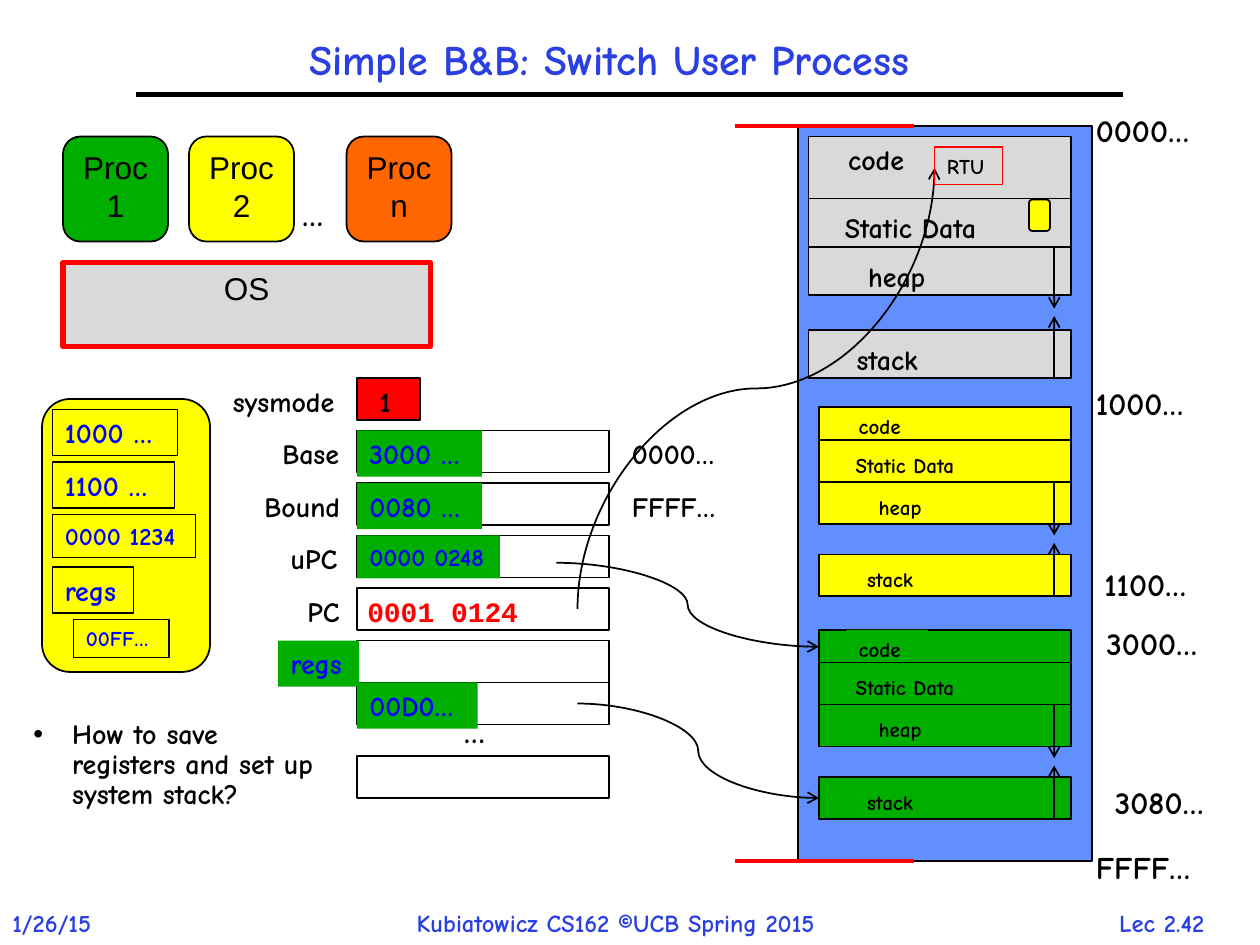
from pptx import Presentation
from pptx.dml.color import RGBColor
from pptx.enum.shapes import MSO_CONNECTOR, MSO_SHAPE
from pptx.enum.text import MSO_ANCHOR, MSO_AUTO_SIZE, PP_ALIGN
from pptx.oxml.ns import qn
from pptx.util import Pt
from lxml import etree

PX = 7620  # EMU per px, 120 px to the inch
RECT, ROUND = MSO_SHAPE.RECTANGLE, MSO_SHAPE.ROUNDED_RECTANGLE
STRAIGHT, CURVE = MSO_CONNECTOR.STRAIGHT, MSO_CONNECTOR.CURVE
TOP, MIDDLE = MSO_ANCHOR.TOP, MSO_ANCHOR.MIDDLE
LEFT, CENTER = PP_ALIGN.LEFT, PP_ALIGN.CENTER
GROW, FIXED = MSO_AUTO_SIZE.SHAPE_TO_FIT_TEXT, MSO_AUTO_SIZE.NONE
COLORS = {
    "black": "000000", "title": "2A40E2", "value": "0000FF", "red": "FF0000",
    "green": "00AE00", "yellow": "FFFF00", "orange": "FF6600",
    "gray": "D9D9D9", "memory": "618FFD",
}


def rgb(name):
    return RGBColor.from_string(COLORS[name])


def add_box(slide, box, fill=None, line="black", weight=1, kind=RECT):
    shape = slide.shapes.add_shape(kind, *(v * PX for v in box))
    shape.shadow.inherit = False
    if fill:
        shape.fill.solid()
        shape.fill.fore_color.rgb = rgb(fill)
    else:
        shape.fill.background()
    if line:
        shape.line.color.rgb = rgb(line)
        shape.line.width = Pt(weight)
    else:
        shape.line.fill.background()
    return shape


def add_text(slide, box, text, size=16, color="black", font="Comic Neue", bold=True,
             align=LEFT, anchor=TOP, wrap=False, spacing=None, line=None, **box_format):
    """Put text in a box; without fill or line the box stays invisible."""
    if line or box_format:
        shape = add_box(slide, box, line=line, **box_format)
    else:
        shape = slide.shapes.add_textbox(*(v * PX for v in box))
    frame = shape.text_frame
    frame.word_wrap = wrap
    frame.auto_size = FIXED if wrap else GROW
    frame.vertical_anchor = anchor
    paragraph = frame.paragraphs[0]
    paragraph.alignment = align
    if spacing:
        paragraph.line_spacing = spacing
    run = paragraph.add_run()
    run.text = text
    run.font.size, run.font.name, run.font.bold = Pt(size), font, bold
    run.font.color.rgb = rgb(color)
    return shape


def add_line(slide, start, end, color="black", weight=1, arrow=False, kind=STRAIGHT, turn=0):
    line = slide.shapes.add_connector(kind, *(v * PX for v in (*start, *end)))
    line.line.color.rgb = rgb(color)
    line.line.width = Pt(weight)
    properties = line._element.spPr
    if arrow:
        etree.SubElement(properties.find(qn("a:ln")), qn("a:tailEnd"), type="arrow")
    etree.SubElement(properties, qn("a:effectLst"))
    if turn:
        properties.find(qn("a:xfrm")).set("rot", str(turn * 60000))


def draw_frame(slide, width, height):
    """Title, rule and footer."""
    footer_top = height - 41
    for x, w, text, align in (
        (1034, 145, "Lec 2.42", CENTER),
        (0, 120, "1/26/15", LEFT),
        (385, 464, "Kubiatowicz CS162 ©UCB Spring 2015", LEFT),
    ):
        add_text(slide, (x, footer_top, w, 41), text, size=14, color="title", align=align)
    add_line(slide, (130, 90), (width - 130, 90), weight=3)
    add_text(slide, (60, 10, 1040, 97), "Simple B&B: Switch User Process", size=24,
             color="title", align=CENTER, anchor=MIDDLE, wrap=True, spacing=0.9)


def draw_processes(slide, x, y):
    """Processes above the operating system."""
    plain = dict(size=18, font="Arial", bold=False, align=CENTER, wrap=True, line="black")
    add_text(slide, (x, y + 120, 350, 80), "OS", **plain | dict(line="red"),
             fill="gray", weight=3)
    for dx, text, fill in ((0, "Proc 1", "green"), (120, "Proc 2", "yellow"),
                           (270, "Proc n", "orange")):
        add_text(slide, (x + dx, y, 100, 100), text, **plain, fill=fill, kind=ROUND)
    add_text(slide, (x + 216, y + 50, 54, 48), "…", size=18)


def draw_saved_registers(slide, x, y):
    """Register values saved for the yellow process."""
    add_box(slide, (x, y, 160, 260), "yellow", kind=ROUND)
    for row, (dx, w, h, text, size) in enumerate((
        (10, 119, 44, "1000 …", 16), (10, 116, 44, "1100 …", 16),
        (10, 136, 41, "0000 1234", 14), (10, 77, 44, "regs", 16),
        (30, 91, 36, "00FF…", 12),
    )):
        add_text(slide, (x + dx, y + 10 + 50 * row, w, h), text, size=size,
                 color="value", fill="yellow", line="black", weight=0.75)


def draw_registers(slide, x, y):
    """Processor registers with their names to the left."""
    add_box(slide, (x, y, 60, 40), "red")
    add_text(slide, (x + 10, y, 40, 44), "1")
    for dy in (50, 100, 150, 200, 250, 290, 360):
        add_box(slide, (x, y + dy, 240, 40))
    for row, (text, w) in enumerate((("sysmode", 132), ("Base", 85), ("Bound", 102),
                                     ("uPC", 77), ("PC", 61))):
        add_text(slide, (x + 2 - w, y + 50 * row, w, 44), text)
    for dx, dy, w, h, text, size in (
        (0, 50, 119, 44, "3000 …", 16), (0, 100, 119, 44, "0080 …", 16),
        (0, 150, 136, 41, "0000 0248", 14), (-75, 250, 77, 44, "regs", 16),
        (0, 290, 115, 44, "00D0…", 16),
    ):
        add_text(slide, (x + dx, y + dy, w, h), text, size=size, color="value", fill="green")
    add_text(slide, (x - 2, y + 200, 169, 44), "0001 0124", color="red", font="Courier New")
    add_text(slide, (x + 90, y + 312, 54, 48), "…", size=18)
    for dy, text in ((50, "0000…"), (100, "FFFF…")):
        add_text(slide, (x + 250, y + dy, 114, 44), text)


def draw_segments(slide, x, y, width, fill, code_height, row_height, gap,
                  size=12, label_scale=1, filled_labels=()):
    """Code, static data, heap and stack of one address space."""
    heap_top = y + code_height + row_height
    stack_top = heap_top + row_height + gap
    for text, top, h, dx, dy, label_width in (
        ("code", y, code_height, 26, 0, 78),
        ("Static Data", y + code_height, row_height, 23, 6, 140),
        ("heap", heap_top, row_height, 45, 6, 79),
        ("stack", stack_top, row_height, 34, 6, 82),
    ):
        add_box(slide, (x, top, width, h), fill)
        label_format = {"fill": fill} if text in filled_labels else {}
        add_text(slide, (x + dx, top + dy, round(label_width * label_scale), 36), text,
                 size=size, **label_format)
    # Stack grows up, heap grows down
    arrow_x, reach = x + width - 16, round(row_height * 1.28)
    stack_bottom = stack_top + row_height
    add_line(slide, (arrow_x, stack_bottom), (arrow_x, stack_bottom - reach), arrow=True)
    add_line(slide, (arrow_x, heap_top), (arrow_x, heap_top + reach), arrow=True)


def draw_memory(slide, x, y, width, height):
    """Physical memory with three address spaces and addresses."""
    add_box(slide, (x, y, width, height), "memory")
    draw_segments(slide, x + 10, y + 10, 250, "gray", 59, 46, 33, size=16, label_scale=1.2)
    draw_segments(slide, x + 20, y + 268, 240, "yellow", 31, 40, 29,
                  filled_labels=("Static Data",))
    draw_segments(slide, x + 20, y + 480, 240, "green", 31, 40, 29,
                  filled_labels=("code", "Static Data"))
    for dx, dy, text in ((272, -20, "0000…"), (272, 682, "FFFF…"), (272, 240, "1000…"),
                         (280, 412, "1100…"), (282, 468, "3000…"), (290, 620, "3080…")):
        add_text(slide, (x + dx, y + dy, 122, 48), text, size=18)
    # Bounds of the current mode
    for edge in (y, y + height):
        add_line(slide, (x - 60, edge), (x + 110, edge), color="red", weight=2.25)


def draw_pointers(slide):
    """Curves from the registers into memory."""
    add_line(slide, (930, 540), (510, 200), arrow=True, kind=CURVE, turn=90)
    add_line(slide, (550, 670), (780, 760), arrow=True, kind=CURVE)
    add_line(slide, (530, 536), (780, 616), arrow=True, kind=CURVE)


def draw_question(slide, x, y):
    question = add_text(slide, (x, y, 300, 140),
                        "How to save registers and set up system stack?",
                        wrap=True, spacing=0.9)
    properties = question.text_frame.paragraphs[0]._p.get_or_add_pPr()
    properties.set("marL", str(37 * PX))
    properties.set("indent", str(-37 * PX))
    etree.SubElement(properties, qn("a:buFont"), typeface="Arial")
    etree.SubElement(properties, qn("a:buChar"), char="•")


def main():
    deck = Presentation()
    deck.slide_width, deck.slide_height = 1200 * PX, 900 * PX
    slide = deck.slides.add_slide(deck.slide_layouts[6])
    draw_frame(slide, 1200, 900)
    draw_processes(slide, 60, 130)
    draw_memory(slide, 760, 120, 280, 700)
    draw_registers(slide, 340, 360)
    draw_pointers(slide)
    draw_question(slide, 20, 680)
    draw_saved_registers(slide, 40, 380)
    # Return-to-user routine and saved state in system memory
    add_text(slide, (890, 140, 65, 36), "RTU", size=12, line="red", weight=0.75)
    add_box(slide, (980, 190, 20, 30), "yellow", kind=ROUND)
    deck.save("out.pptx")


if __name__ == "__main__":
    main()
